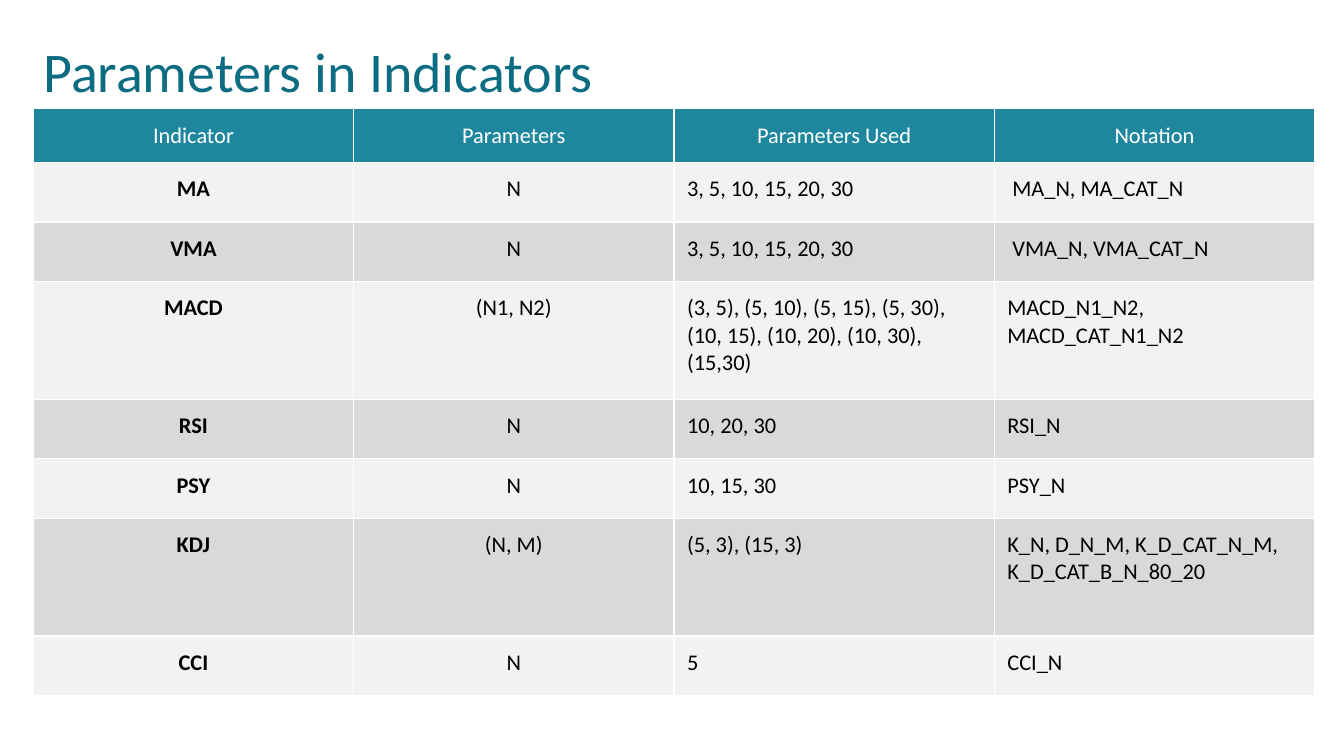
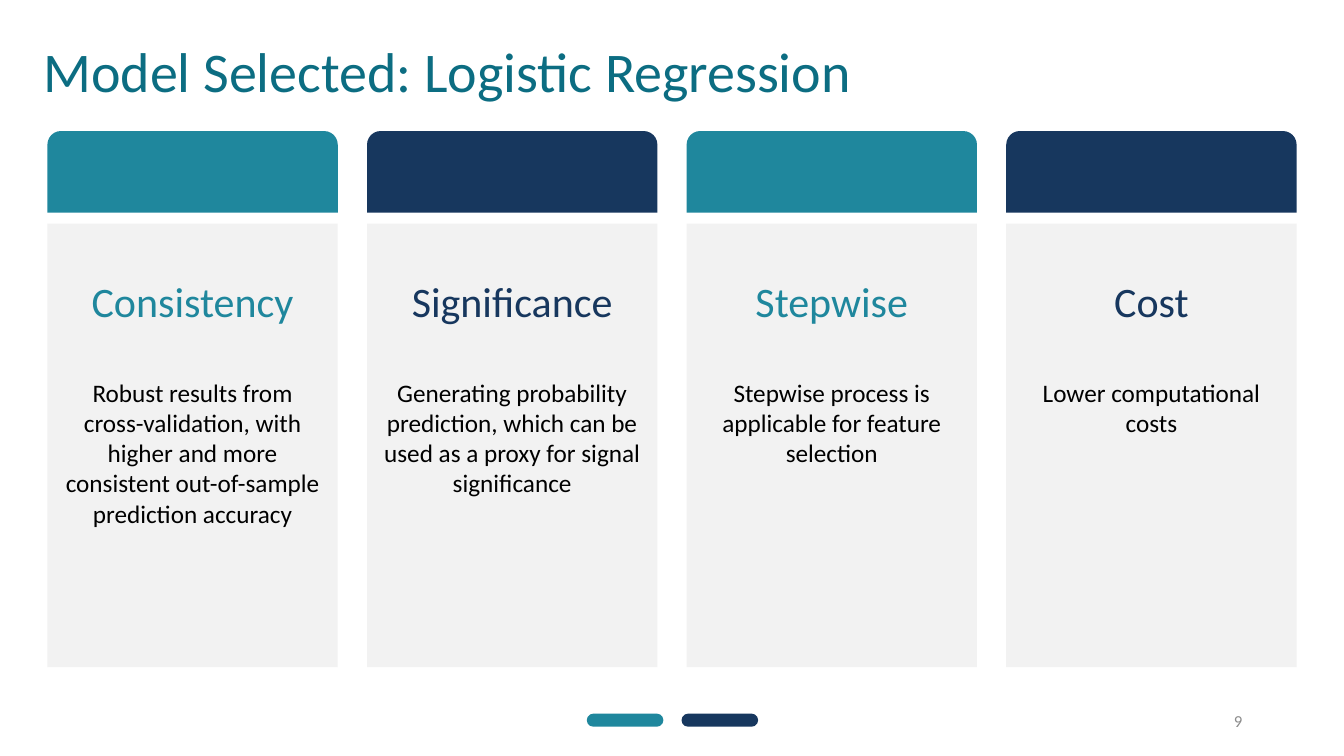
from pptx import Presentation
from pptx.dml.color import RGBColor
from pptx.enum.shapes import MSO_SHAPE as Shape
from pptx.enum.text import MSO_ANCHOR as Anchor, PP_ALIGN as Align
from pptx.oxml import parse_xml
from pptx.oxml.ns import nsdecls
from pptx.util import Inches, Pt

FONT = "Calibri"
COLORS = {
    "title": "0C6D82",
    "teal": "1F879D",
    "navy": "17375E",
    "light": "F2F2F2",
    "band": "D9D9D9",
    "number": "8C8C8C",
    "white": "FFFFFF",
    "black": "000000",
}


def write(text_frame, text, size, color, align=Align.LEFT, anchor=Anchor.TOP,
          inset=(0, 0), bold=False):
    """Fill a text frame with one formatted paragraph; inset is (sides, top and bottom)."""
    text_frame.text = text
    text_frame.word_wrap = True
    text_frame.vertical_anchor = anchor
    text_frame.margin_left = text_frame.margin_right = Inches(inset[0])
    text_frame.margin_top = text_frame.margin_bottom = Inches(inset[1])
    paragraph = text_frame.paragraphs[0]
    paragraph.alignment = align
    for run in paragraph.runs:
        run.font.name = FONT
        run.font.size = Pt(size)
        run.font.bold = bold
        run.font.color.rgb = RGBColor.from_string(COLORS[color])


def add_block(slide, kind, left, top, width, height, color):
    """Add a plain filled shape without outline or shadow."""
    shape = slide.shapes.add_shape(
        kind, Inches(left), Inches(top), Inches(width), Inches(height))
    shape.shadow.inherit = False
    shape.fill.solid()
    shape.fill.fore_color.rgb = RGBColor.from_string(COLORS[color])
    shape.line.fill.background()
    return shape


presentation = Presentation()
presentation.slide_width = Inches(13.33)
presentation.slide_height = Inches(7.5)
title_layout = presentation.slide_layouts.get_by_name("Title Only")

slides = []
for title_text in ("Parameters in Indicators", "Model Selected: Logistic Regression"):
    slide = presentation.slides.add_slide(title_layout)
    title = slide.shapes.title
    title.left, title.top = Inches(0.33), Inches(0.39)
    title.width, title.height = Inches(12.6), Inches(0.7)
    write(title.text_frame, title_text, 40, "title", anchor=Anchor.MIDDLE,
          inset=(0.1, 0.05))
    title.text_frame.paragraphs[0].line_spacing = 0.9
    slides.append(slide)
table_slide, model_slide = slides

# Indicator table
indicator_rows = [
    ("Indicator", "Parameters", "Parameters Used", "Notation"),
    ("MA", "N", "3, 5, 10, 15, 20, 30", " MA_N, MA_CAT_N"),
    ("VMA", "N", "3, 5, 10, 15, 20, 30", " VMA_N, VMA_CAT_N"),
    ("MACD", "(N1, N2)",
     "(3, 5), (5, 10), (5, 15), (5, 30), (10, 15), (10, 20), (10, 30), (15,30)",
     "MACD_N1_N2, MACD_CAT_N1_N2"),
    ("RSI", "N", "10, 20, 30", "RSI_N"),
    ("PSY", "N", "10, 15, 30", "PSY_N"),
    ("KDJ", "(N, M)", "(5, 3), (15, 3)", "K_N, D_N_M, K_D_CAT_N_M, K_D_CAT_B_N_80_20"),
    ("CCI", "N", "5", "CCI_N"),
]
row_heights = [0.53, 0.59, 0.59, 1.17, 0.59, 0.59, 1.17, 0.59]
table = table_slide.shapes.add_table(
    len(indicator_rows), 4, Inches(0.33), Inches(1.08),
    Inches(12.71), Inches(sum(row_heights))).table

for row_index, (texts, height) in enumerate(zip(indicator_rows, row_heights)):
    table.rows[row_index].height = Inches(height)
    is_header = row_index == 0
    if is_header:
        fill_color = "teal"
    else:
        fill_color = "light" if row_index % 2 else "band"
    for column_index, text in enumerate(texts):
        cell = table.cell(row_index, column_index)
        centered = is_header or column_index < 2
        write(cell.text_frame, text, 16, "white" if is_header else "black",
              Align.CENTER if centered else Align.LEFT,
              bold=column_index == 0 and not is_header)
        cell.vertical_anchor = Anchor.TOP
        cell.margin_left = cell.margin_right = Inches(0.13)
        cell.margin_top = cell.margin_bottom = Inches(0.13)
        cell_properties = cell._tc.get_or_add_tcPr()
        for side in ("lnL", "lnR", "lnT", "lnB"):
            cell_properties.append(parse_xml(
                f'<a:{side} {nsdecls("a")} w="{Pt(1)}"><a:solidFill>'
                f'<a:srgbClr val="{COLORS["white"]}"/></a:solidFill></a:{side}>'))
        cell.fill.solid()
        cell.fill.fore_color.rgb = RGBColor.from_string(COLORS[fill_color])

# Footer: two pills and the page number
for left, color in ((5.82, "teal"), (6.76, "navy")):
    pill = add_block(model_slide, Shape.ROUNDED_RECTANGLE, left, 7.08, 0.76, 0.13, color)
    pill.adjustments[0] = 0.5
page_number = model_slide.shapes.add_textbox(
    Inches(9.42), Inches(6.95), Inches(3), Inches(0.4))
write(page_number.text_frame, "9", 12, "number", Align.RIGHT, Anchor.MIDDLE, (0.1, 0.05))

# Four reason cards
reasons = [
    ("Consistency", "Robust results from cross-validation, with higher and more "
                    "consistent out-of-sample prediction accuracy"),
    ("Significance", "Generating probability prediction, which can be used as a proxy "
                     "for signal significance"),
    ("Stepwise", "Stepwise process is applicable for feature selection"),
    ("Cost", "Lower computational costs"),
]
CARD_LEFT, CARD_WIDTH, CARD_PITCH = 0.47, 2.88, 3.17
for index, (heading_text, body_text) in enumerate(reasons):
    left = CARD_LEFT + index * CARD_PITCH
    color = "navy" if index % 2 else "teal"
    add_block(model_slide, Shape.ROUND_2_SAME_RECTANGLE, left, 1.3, CARD_WIDTH, 0.81, color)
    add_block(model_slide, Shape.RECTANGLE, left, 2.22, CARD_WIDTH, 4.4, "light")
    for text, width, top, height, size, text_color, anchor in (
            (heading_text, 2.09, 2.73, 0.5, 30, color, Anchor.MIDDLE),
            (body_text, 2.57, 3.74, 1.82, 18, "black", Anchor.TOP)):
        box = model_slide.shapes.add_textbox(
            Inches(left + (CARD_WIDTH - width) / 2), Inches(top),
            Inches(width), Inches(height))
        write(box.text_frame, text, size, text_color, Align.CENTER, anchor)

presentation.save("out.pptx")
